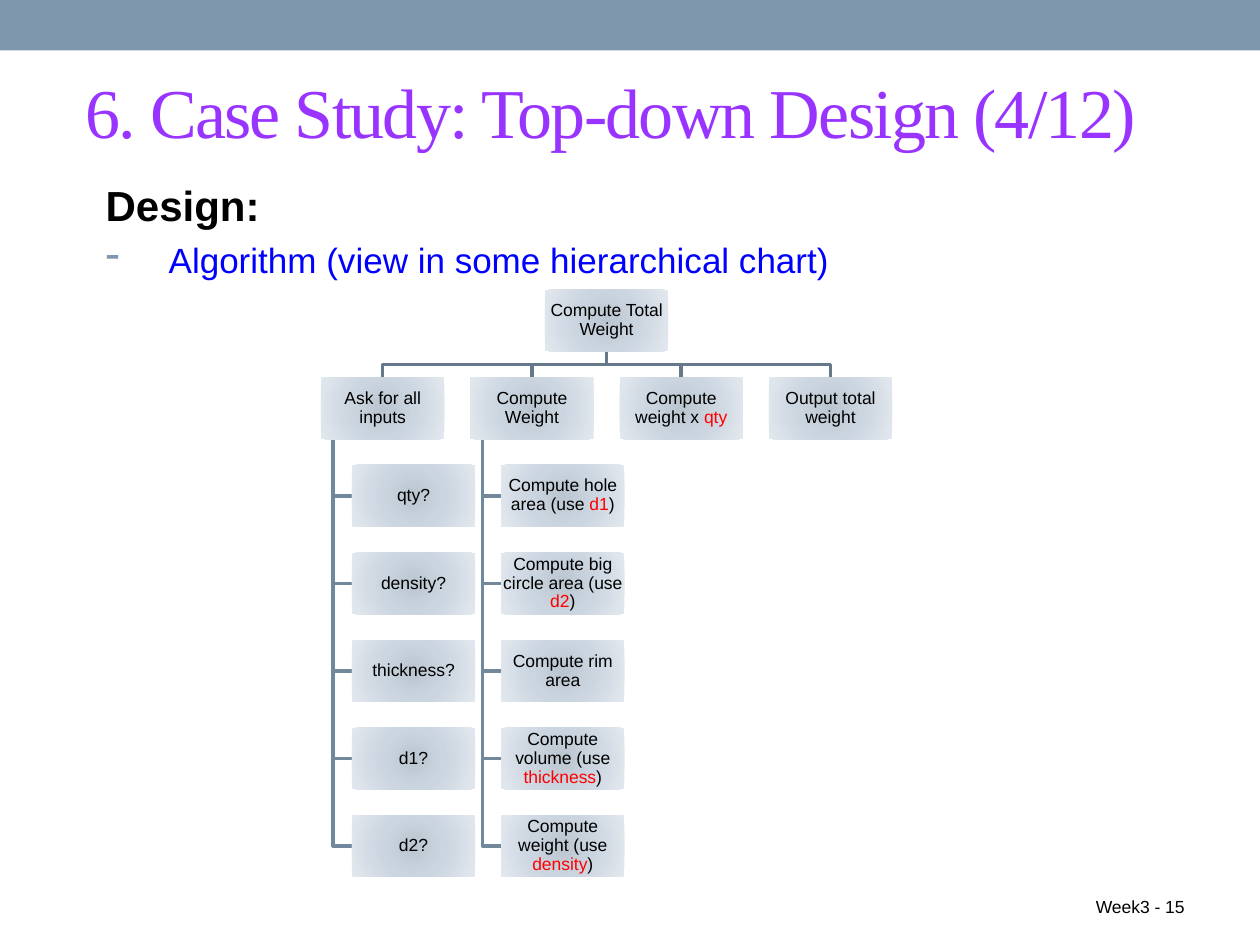
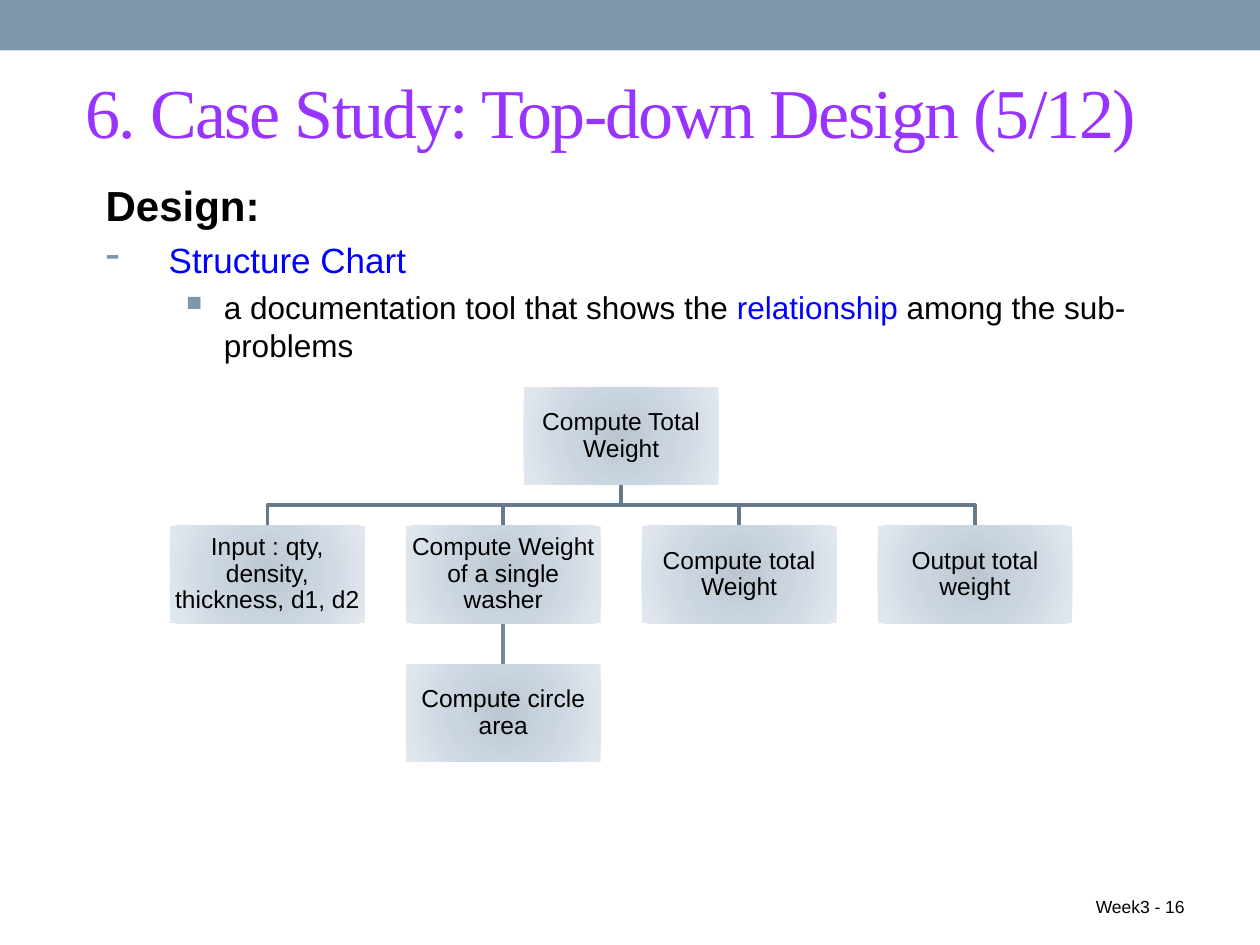
"""Builds two case-study slides, each with a hierarchy chart of sub-problems."""
from dataclasses import dataclass

from pptx import Presentation, oxml
from pptx import util as u
from pptx.dml import color
from pptx.enum import shapes, text
from pptx.oxml import ns

RGB = color.RGBColor.from_string


@dataclass(frozen=True)
class Theme:
    band: str = "7E97AD"
    title: str = "9933FF"
    ink: str = "000000"
    blue: str = "0000FF"
    red: str = "FF0000"
    upper_link: str = "65798B"
    lower_link: str = "72899D"
    box_stops: tuple = ((0, "BCC6D0"), (45, "CBD5E0"), (100, "E2E8EE"))
    title_size: int = 40
    heading_size: int = 24
    topic_size: int = 20
    detail_size: int = 18
    footer_size: int = 10
    serif: str = "Times New Roman"
    sans: str = "Arial"


theme = Theme()

GRADIENT = oxml.parse_xml(
    f'<a:gradFill {ns.nsdecls("a")} rotWithShape="1"><a:gsLst>'
    + "".join(f'<a:gs pos="{position * 1000}"><a:srgbClr val="{stop}"/></a:gs>'
              for position, stop in theme.box_stops)
    + '</a:gsLst><a:path path="circle"><a:fillToRect l="100000" t="100000" r="100000" b="100000"/>'
    '</a:path></a:gradFill>')


def write(paragraph, wording, size, ink=theme.ink, accent=theme.red, font=theme.sans, bold=False):
    """Add runs to a paragraph; parts between bars take the accent colour."""
    for index, part in enumerate(wording.split("|")):
        run = paragraph.add_run()
        run.text = part
        for name, value in {"size": u.Pt(size), "name": font, "bold": bold}.items():
            setattr(run.font, name, value)
        run.font.color.rgb = RGB(accent if index % 2 else ink)
    return run


def link(slide, points, ink):
    """Draw a line through the points: straight for two, bent for more."""
    corners = [(u.Pt(x), u.Pt(y)) for x, y in points]
    if len(corners) == 2:
        shape = slide.shapes.add_connector(shapes.MSO_CONNECTOR.STRAIGHT, *corners[0], *corners[1])
    else:
        builder = slide.shapes.build_freeform(*corners[0])
        builder.add_line_segments(corners[1:], close=False)
        shape = builder.convert_to_shape()
        shape.fill.background()
    shape.line.color.rgb = RGB(ink)
    shape.line.width = u.Pt(2.08)
    shape._element.spPr.append(oxml.parse_xml(f'<a:effectLst {ns.nsdecls("a")}/>'))


TOPIC = {"size": theme.topic_size, "ink": theme.blue, "mark": "-",
         "margin": 36, "hanging": 36, "before": 5}
DETAIL = {"size": theme.detail_size, "ink": theme.ink, "mark": "▪",
          "margin": 67.5, "hanging": 25, "before": 4.5}

pages = [
    {"part": 4, "number": 15,
     "points": [("Algorithm (view in some hierarchical chart)", TOPIC)],
     "left": 183.4, "top": 165.6, "width": 70.5, "size": 10,
     "branches": [
         ("Ask for all inputs", ["qty?", "density?", "thickness?", "d1?", "d2?"]),
         ("Compute Weight", ["Compute hole area (use |d1|)", "Compute big circle area (use |d2|)",
                             "Compute rim area", "Compute volume (use |thickness|)",
                             "Compute weight (use |density|)"]),
         ("Compute weight x |qty", []),
         ("Output total weight", [])]},
    {"part": 5, "number": 16,
     "points": [("Structure Chart", TOPIC),
                ("a documentation tool that shows the |relationship| among the sub-problems", DETAIL)],
     "left": 97.1, "top": 221.3, "width": 111.4, "size": 14,
     "branches": [
         ("Input : qty, density, thickness, d1, d2", []),
         ("Compute Weight of a single washer", ["Compute circle area"]),
         ("Compute total Weight", []),
         ("Output total weight", [])]},
]

presentation = Presentation()
presentation.slide_width, presentation.slide_height = u.Pt(720), u.Pt(540)

for page in pages:
    slide = presentation.slides.add_slide(presentation.slide_layouts[6])

    band = slide.shapes.add_shape(shapes.MSO_SHAPE.RECTANGLE, 0, 0, u.Pt(720), u.Pt(28.8))
    band.shadow.inherit = False
    band.fill.solid()
    band.fill.fore_color.rgb = RGB(theme.band)
    band.line.fill.background()

    frames = []
    for area, anchor in [((41.8, 30.2, 660, 66.2), text.MSO_ANCHOR.MIDDLE),
                         ((53.3, 96.5, 625.7, 414), text.MSO_ANCHOR.TOP),
                         ((516.2, 491.8, 167.8, 36), text.MSO_ANCHOR.BOTTOM)]:
        frame = slide.shapes.add_textbox(*map(u.Pt, area)).text_frame
        for name, value in {"word_wrap": True, "vertical_anchor": anchor}.items():
            setattr(frame, name, value)
        frames.append(frame)
    title, body, footer = frames

    run = write(title.paragraphs[0], f"6. Case Study: Top-down Design ({page['part']}/12)",
                theme.title_size, theme.title, font=theme.serif)
    run.font._element.set("spc", "-100")
    footer.paragraphs[0].alignment = text.PP_ALIGN.RIGHT
    write(footer.paragraphs[0], f"Week3 - {page['number']}", theme.footer_size)

    body.margin_top = u.Pt(6)
    write(body.paragraphs[0], "Design:", theme.heading_size, bold=True)
    for wording, style in page["points"]:
        paragraph = body.add_paragraph()
        properties = paragraph._p.get_or_add_pPr()
        properties.set("marL", str(u.Pt(style["margin"])))
        properties.set("indent", str(-u.Pt(style["hanging"])))
        for bullet in (f'<a:buClr {ns.nsdecls("a")}><a:srgbClr val="{theme.band}"/></a:buClr>',
                       f'<a:buSzPct {ns.nsdecls("a")} val="120000"/>',
                       f'<a:buChar {ns.nsdecls("a")} char="{style["mark"]}"/>'):
            properties.append(oxml.parse_xml(bullet))
        paragraph.space_before = u.Pt(style["before"])
        write(paragraph, wording, style["size"], style["ink"], theme.blue)

    left, top, width = page["left"], page["top"], page["width"]
    height, gap = width / 2, 0.21 * width
    column, row = width + gap, height + gap
    root_left = left + column * (len(page["branches"]) - 1) / 2
    root_center = root_left + width / 2
    branch_top = top + row
    boxes = [("Compute Total Weight", root_left, top)]

    for index, (branch, steps) in enumerate(page["branches"]):
        branch_left = left + index * column
        center = branch_left + width / 2
        bend = branch_top - gap / 2
        link(slide, [(root_center, top + height), (root_center, bend),
                     (center, bend), (center, branch_top)], theme.upper_link)
        boxes.append((branch, branch_left, branch_top))
        step_left = branch_left + (width / 4 if len(steps) > 1 else 0)
        trunk = branch_left + width / 10
        for level, step in enumerate(steps, 1):
            step_top = branch_top + level * row
            if len(steps) == 1:
                route = [(center, branch_top + height), (center, step_top)]
            else:
                middle = step_top + height / 2
                route = [(trunk, branch_top + height), (trunk, middle), (step_left, middle)]
            link(slide, route, theme.lower_link)
            boxes.append((step, step_left, step_top))

    for wording, box_left, box_top in boxes:
        box = slide.shapes.add_shape(shapes.MSO_SHAPE.RECTANGLE,
                                     *map(u.Pt, (box_left, box_top, width, height)))
        box.shadow.inherit = False
        box.line.fill.background()
        box._element.spPr.insert(2, oxml.parse_xml(oxml.xmlchemy.serialize_for_reading(GRADIENT)))
        margins = {f"margin_{side}": u.Pt(0.5) for side in ("left", "top", "right", "bottom")}
        for name, value in {"word_wrap": True, "vertical_anchor": text.MSO_ANCHOR.MIDDLE,
                            **margins}.items():
            setattr(box.text_frame, name, value)
        paragraph = box.text_frame.paragraphs[0]
        for name, value in {"alignment": text.PP_ALIGN.CENTER, "line_spacing": 0.9}.items():
            setattr(paragraph, name, value)
        write(paragraph, wording, page["size"])

presentation.save("out.pptx")
